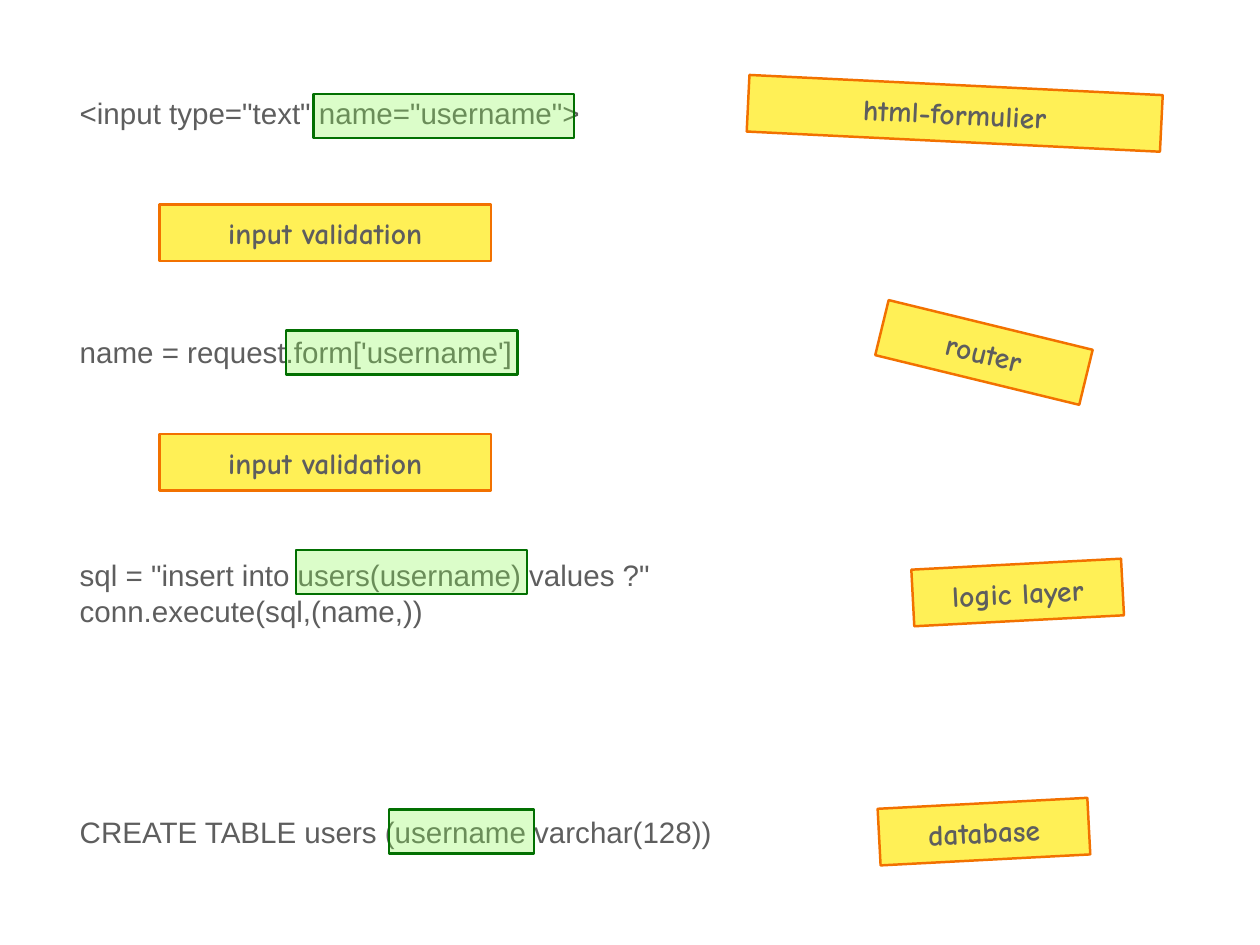
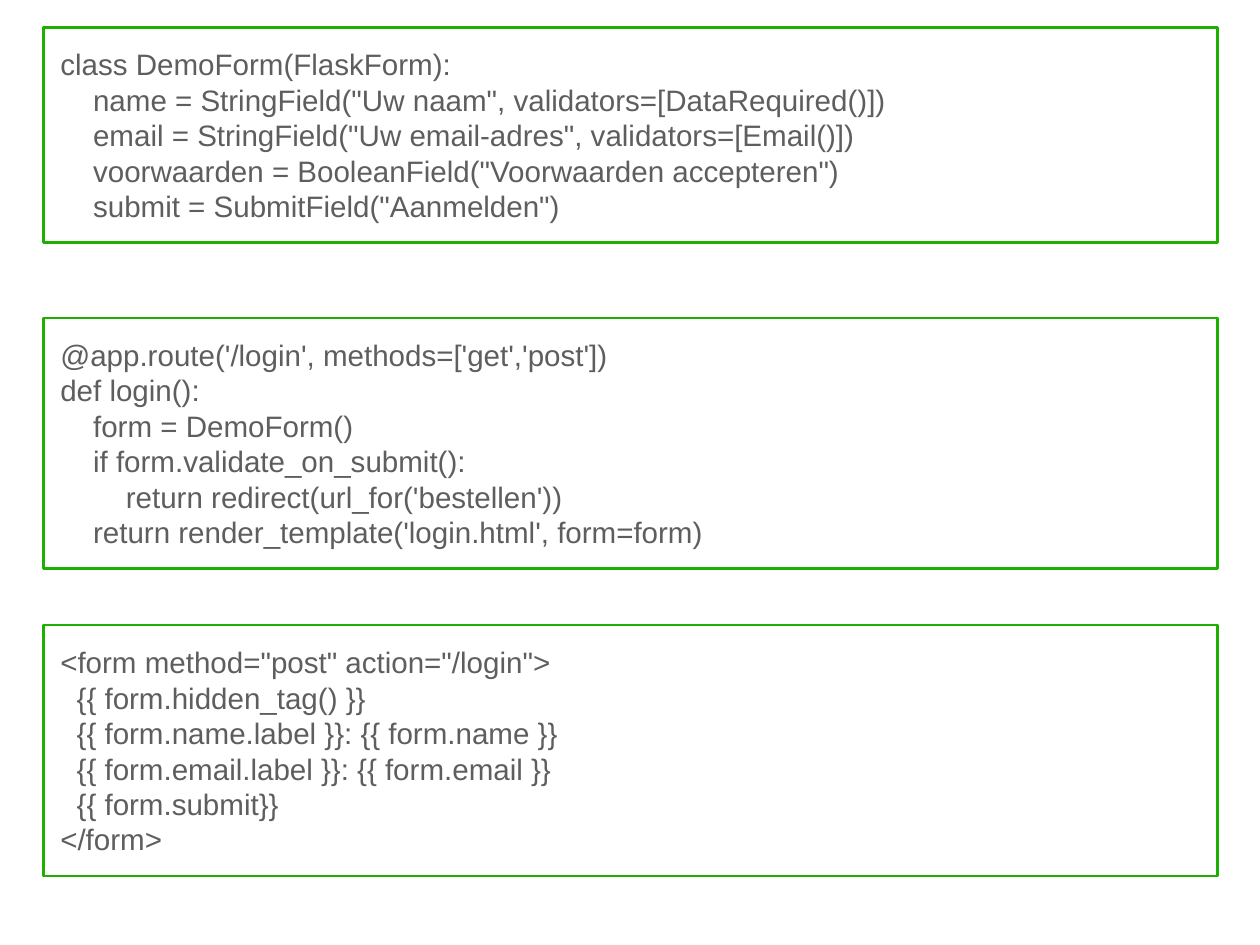
from lxml import etree
from pptx import Presentation
from pptx.dml.color import RGBColor
from pptx.enum.shapes import MSO_SHAPE
from pptx.enum.text import MSO_ANCHOR, PP_ALIGN
from pptx.oxml.ns import qn
from pptx.util import Inches, Pt

TEXT_COLOR = "5E5E5E"
LABEL_FILL, LABEL_LINE = "FFF056", "F27100"
MARK_FILL, MARK_LINE = "89FA4E", "027001"
CODE_FILL, CODE_LINE = "FFFFFF", "1EB001"
SPACE_WIDTH = 0.0925  # one leading space of code, in inches


def add_box(page, left, top, width, height, fill, line, rotation=0, opacity=None):
    box = page.shapes.add_shape(MSO_SHAPE.RECTANGLE, Inches(left), Inches(top),
                                Inches(width), Inches(height))
    box.shadow.inherit = False
    box.rotation = rotation
    box.fill.solid()
    box.fill.fore_color.rgb = RGBColor.from_string(fill)
    box.line.color.rgb = RGBColor.from_string(line)
    box.line.width = Pt(2)
    if opacity is not None:
        color = box.fill._xPr.find(qn("a:solidFill"))[0]
        etree.SubElement(color, qn("a:alpha"), val=str(opacity * 1000))
    return box


def write_text(box, text, font="Arial", bold=False, align=PP_ALIGN.LEFT,
               inset=0.06, wrap=True, line_spacing=Pt(28.8)):
    """Write one paragraph a line; leading spaces become a left indent."""
    frame = box.text_frame
    frame.word_wrap = wrap
    frame.vertical_anchor = MSO_ANCHOR.MIDDLE
    frame.margin_left = frame.margin_right = Inches(inset)
    frame.margin_top = frame.margin_bottom = Inches(inset)
    for index, line in enumerate(text.split("\n")):
        para = frame.add_paragraph() if index else frame.paragraphs[0]
        para.alignment = align
        para.line_spacing = line_spacing
        code = line.lstrip(" ")
        indent = Inches((len(line) - len(code)) * SPACE_WIDTH)
        para._p.get_or_add_pPr().set("marL", str(indent))
        span = para.add_run()
        span.text = code
        span.font.name = font
        span.font.size = Pt(24)
        span.font.bold = bold
        span.font.color.rgb = RGBColor.from_string(TEXT_COLOR)


deck = Presentation()
deck.slide_width, deck.slide_height = Inches(14.22), Inches(10.67)
blank_layout = deck.slide_layouts[6]

# Slide 1: the username field through every layer
page = deck.slides.add_slide(blank_layout)

snippets = [
    (1.02, 5.77, 0.51, '<input type="text" name="username">'),
    (3.72, 5, 0.51, "name = request.form['username']"),
    (6.23, 6.56, 0.92, 'sql = "insert into users(username) values ?"\n'
                       "conn.execute(sql,(name,))"),
    (9.13, 7.26, 0.51, "CREATE TABLE users (username varchar(128))"),
]
for top, width, height, code in snippets:
    box = page.shapes.add_textbox(Inches(0.84), Inches(top), Inches(width), Inches(height))
    write_text(box, code, wrap=False)

labels = [
    (8.44, 0.96, 4.67, 2.8, "html-formulier"),
    (9.92, 3.66, 2.37, 13.7, "router"),
    (10.3, 6.37, 2.37, 357, "logic layer"),
    (9.92, 9.07, 2.37, 357, "database"),
    (1.8, 2.31, 3.74, 0, "input validation"),
    (1.8, 4.9, 3.74, 0, "input validation"),
]
for left, top, width, rotation, name in labels:
    box = add_box(page, left, top, width, 0.64, LABEL_FILL, LABEL_LINE, rotation)
    write_text(box, name, font="Comic Neue", bold=True, align=PP_ALIGN.CENTER,
               inset=0.11, line_spacing=1.0)

marks = [(3.54, 1.06, 2.94), (3.23, 3.73, 2.61), (3.34, 6.21, 2.61), (4.39, 9.14, 1.64)]
for left, top, width in marks:
    add_box(page, left, top, width, 0.5, MARK_FILL, MARK_LINE, opacity=30)

# Slide 2: form class, route and template
page = deck.slides.add_slide(blank_layout)

form_class = """class DemoForm(FlaskForm):
    name = StringField("Uw naam", validators=[DataRequired()])
    email = StringField("Uw email-adres", validators=[Email()])
    voorwaarden = BooleanField("Voorwaarden accepteren")
    submit = SubmitField("Aanmelden")"""

login_route = """@app.route('/login', methods=['get','post'])
def login():
    form = DemoForm()
    if form.validate_on_submit():
        return redirect(url_for('bestellen'))
    return render_template('login.html', form=form)"""

login_template = """<form method="post" action="/login">
  {{ form.hidden_tag() }}
  {{ form.name.label }}: {{ form.name }}
  {{ form.email.label }}: {{ form.email }}
  {{ form.submit}}
</form>"""

listings = [(0.31, 2.43, form_class), (7.06, 2.83, login_template), (3.59, 2.83, login_route)]
for top, height, code in listings:
    box = add_box(page, 0.49, top, 13.25, height, CODE_FILL, CODE_LINE)
    write_text(box, code, inset=0.19)

deck.save("out.pptx")
